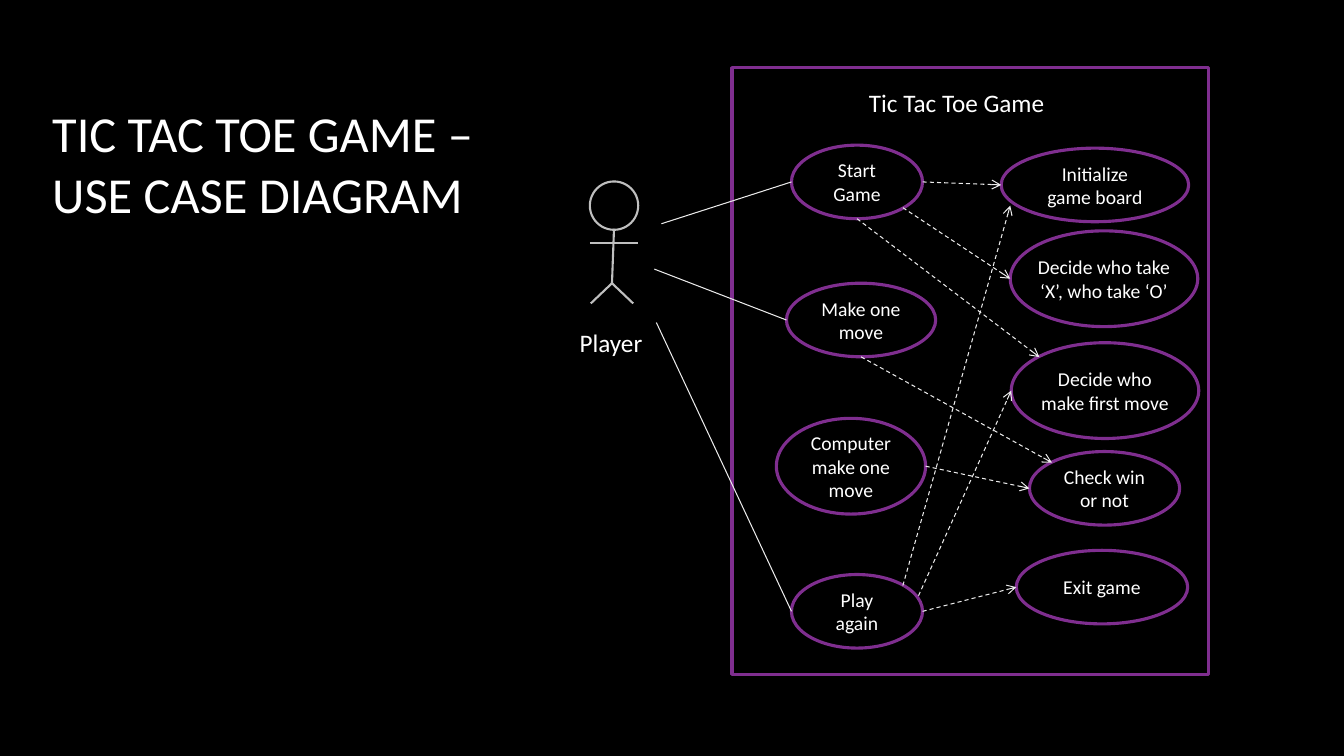
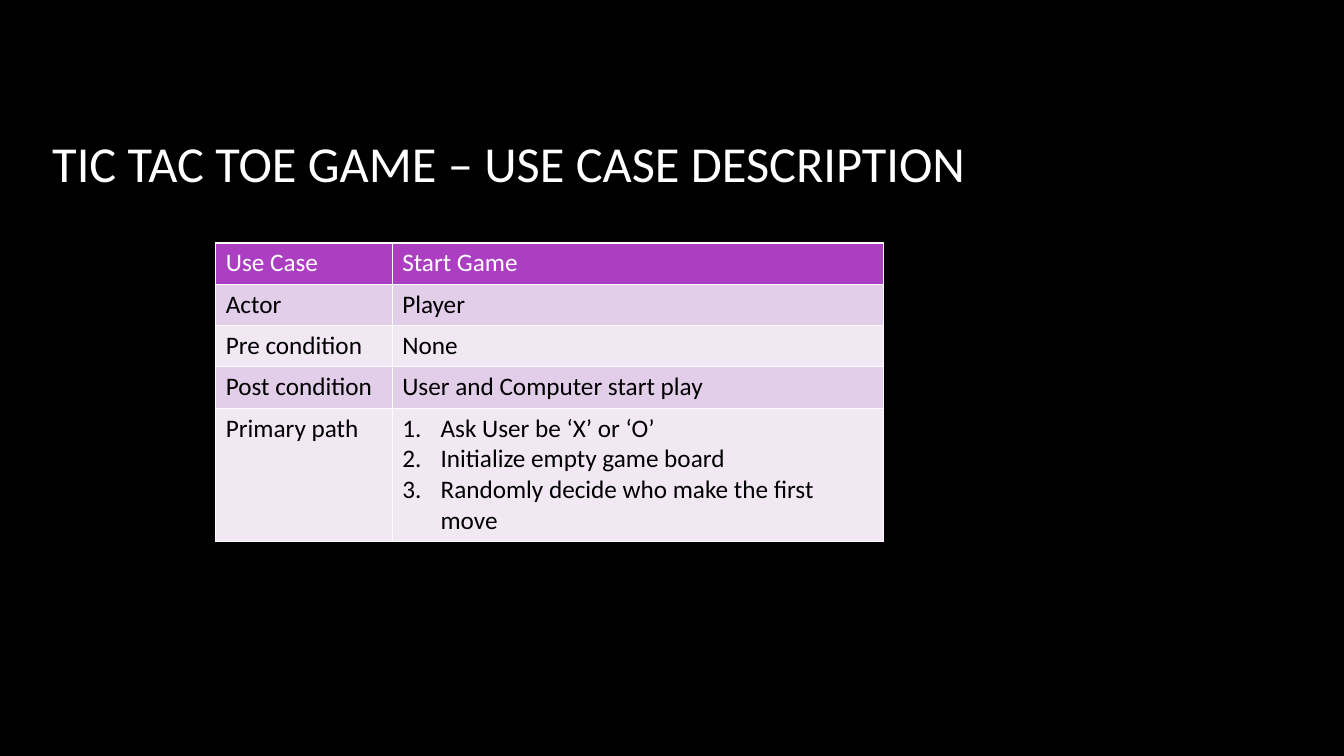
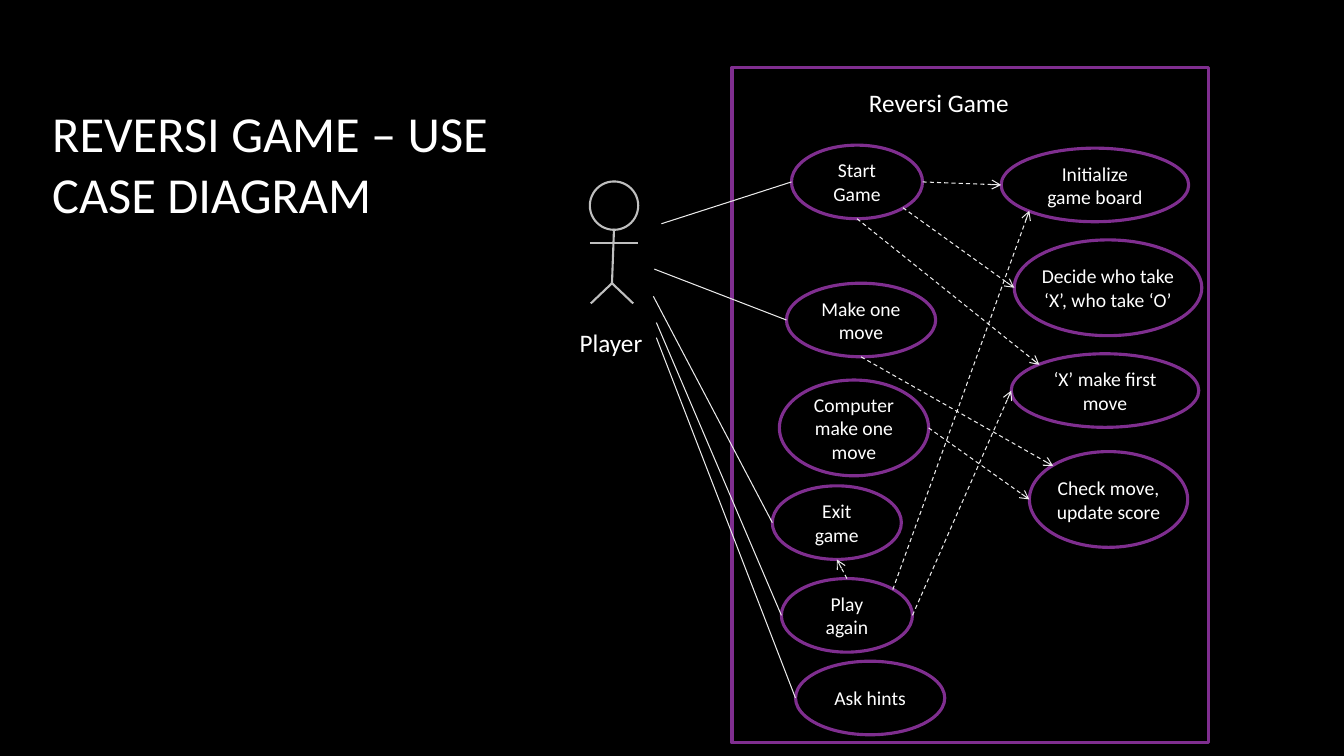
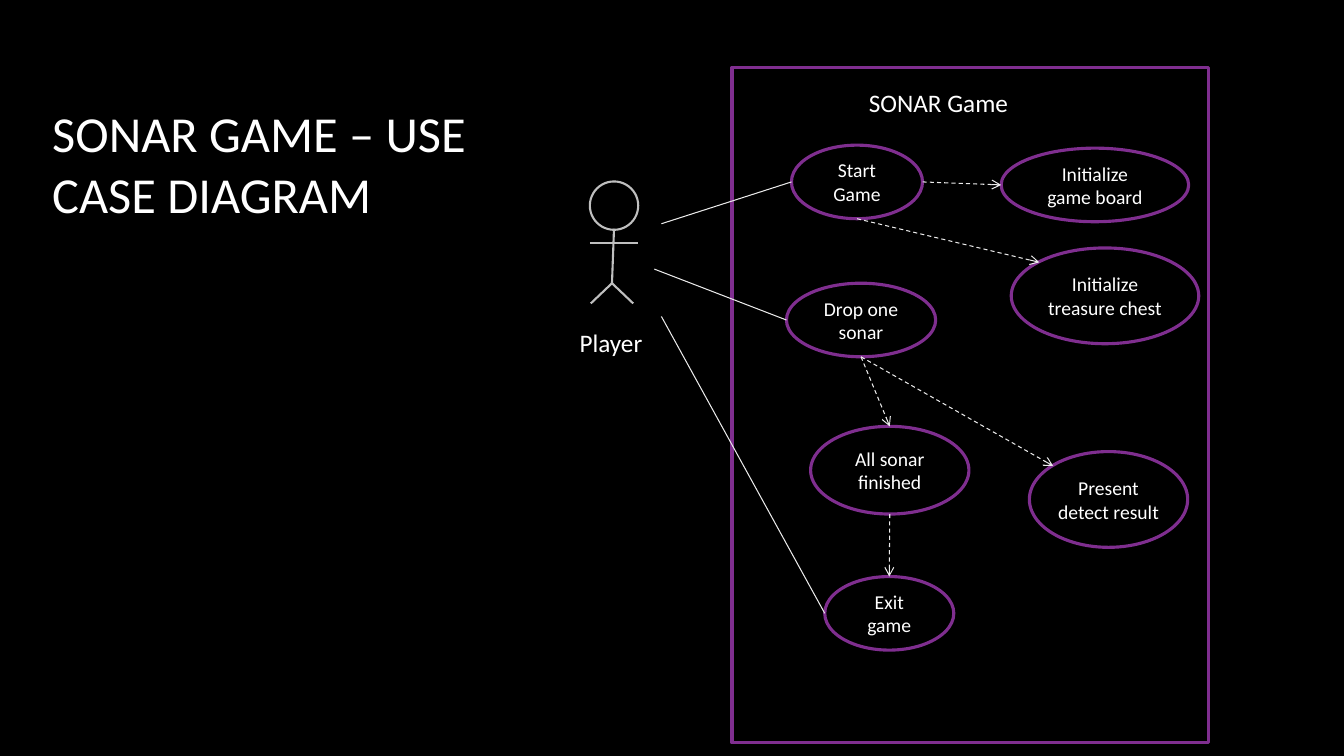
from dataclasses import dataclass

from lxml import etree
from pptx import Presentation
from pptx.dml.color import RGBColor
from pptx.enum import dml, shapes, text
from pptx.oxml.ns import qn
from pptx.util import Inches, Pt


@dataclass(frozen=True)
class Theme:
    font: str = "Calibri"
    background: str = "000000"
    light: str = "FFFFFF"
    dark: str = "000000"
    outline: str = "7F2E8F"
    link: str = "EBEBEB"
    figure: str = "BFBFBF"
    header: str = "AC3EC1"
    bands: tuple = ("E3CEE9", "F1E8F4")
    title_size: float = 36
    label_size: float = 18
    case_size: float = 14
    outline_width: float = 2.25
    figure_width: float = 1.5
    link_width: float = 0.75


THEME = Theme()
TITLE_TOP, TITLE_LEFT, TITLE_HEIGHT = 0.82, 0.42, 1.59
ACTOR_BOX = (5.65, 1.8)
SYSTEM_LEFT, SYSTEM_TOP, SYSTEM_WIDTH = 7.26, 0.67, 4.73
CASE_HEIGHT, TALL = 0.73, 0.95

# Where links meet an ellipse, as fractions of its width and height
NEAR, FAR = 0.15, 0.85
SITES = {
    "top": (0.5, 0), "bottom": (0.5, 1), "left": (0, 0.5), "right": (1, 0.5),
    "top_left": (NEAR, NEAR), "top_right": (FAR, NEAR),
    "bottom_left": (NEAR, FAR), "bottom_right": (FAR, FAR),
}

# Use cases: text, left, top, width and, if taller, height inside the system box
SHARED_CASES = {
    "start": ("Start Game", 0.59, 0.77, 1.3),
    "init": ("Initialize game board", 2.67, 0.8, 1.86),
}
MOVE_CASE = ("Make one move", 0.54, 2.14, 1.48)
# Player links: start point inside the actor box, use case
SHARED_PLAYER_LINKS = [((0.91, 0.42), "start"), ((0.84, 0.87), "move")]
# Dependencies: each end is "case.site" or a point inside the system box
SHARED_DEPENDENCIES = [("start.right", "init.left")]
BOARD_DEPENDENCIES = [
    ("start.bottom", "first.top_left"),
    ("start.bottom_right", "decide.left"),
    ("move.bottom", "check.top_left"),
    ("computer.right", "check.left"),
]

DIAGRAMS = {
    "tic_tac_toe": dict(
        title="TIC TAC TOE GAME – USE CASE DIAGRAM",
        name="Tic Tac Toe Game", name_width=1.96, height=6.02,
        cases={
            "move": MOVE_CASE,
            "first": ("Decide who make first move", 2.77, 2.73, 1.86, TALL),
            "check": ("Check win or not", 2.95, 3.81, 1.49),
            "again": ("Play again", 0.59, 5.03, 1.3),
            "decide": ("Decide who take ‘X’, who take ‘O’",
                       2.76, 1.62, 1.86, TALL),
            "exit": ("Exit game", 2.82, 4.79, 1.7),
            "computer": ("Computer make one move", 0.44, 3.48, 1.48, TALL),
        },
        player_links=[((0.86, 1.4), "again")],
        dependencies=BOARD_DEPENDENCIES + [
            ("again.right", "exit.left"),
            ("again.top_right", (2.76, 1.37)),
            ((1.85, 5.24), "first.left"),
        ],
    ),
    "reversi": dict(
        title="REVERSI GAME – USE CASE DIAGRAM",
        name="Reversi Game", name_width=1.6, height=6.7,
        cases={
            "move": MOVE_CASE,
            "first": ("‘X’ make first move", 2.77, 2.84, 1.86),
            "check": ("Check move, update score", 2.95, 3.81, 1.57, TALL),
            "again": ("Play again", 0.49, 5.07, 1.3),
            "decide": ("Decide who take ‘X’, who take ‘O’",
                       2.8, 1.71, 1.86, TALL),
            "exit": ("Exit game", 0.4, 4.15, 1.28),
            "computer": ("Computer make one move", 0.47, 3.1, 1.48, TALL),
            "hints": ("Ask hints", 0.63, 5.89, 1.48),
        },
        player_links=[((0.86, 1.4), "again"), ((0.83, 1.14), "exit"),
                      ((0.86, 1.55), "hints")],
        dependencies=BOARD_DEPENDENCIES + [
            ("again.top_right", "init.bottom_left"),
            ("again.right", "first.left"),
            ("again.top", "exit.bottom"),
        ],
    ),
    "sonar": dict(
        title="SONAR GAME – USE CASE DIAGRAM",
        name="SONAR Game", name_width=1.6, height=6.7,
        cases={
            "move": ("Drop one sonar",) + MOVE_CASE[1:],
            "chest": ("Initialize treasure chest", 2.77, 1.79, 1.86, TALL),
            "detect": ("Present detect result", 2.95, 3.81, 1.57, TALL),
            "finished": ("All sonar finished", 0.78, 3.56, 1.57, 0.87),
            "exit": ("Exit game", 0.92, 5.05, 1.28),
        },
        player_links=[((0.91, 1.34), "exit")],
        dependencies=[
            ("start.bottom", "chest.top_left"),
            ("move.bottom", "detect.top_left"),
            ("move.bottom", "finished.top"),
            ("finished.bottom", "exit.top"),
        ],
    ),
}

START_GAME_ROWS = [
    ("Use Case", ["Start Game"]),
    ("Actor", ["Player"]),
    ("Pre condition", ["None"]),
    ("Post condition", ["User and Computer start play"]),
    ("Primary path", ["Ask User be ‘X’ or ‘O’", "Initialize empty game board",
                      "Randomly decide who make the first move"]),
]


def assign(obj, **values):
    for name, value in values.items():
        setattr(obj, name, value)


def write(p, words, size, color=THEME.light):
    r = p.add_run()
    r.text = words
    assign(r.font, name=THEME.font, size=Pt(size), bold=False)
    r.font.color.rgb = RGBColor.from_string(color)


def stroke(line, color, width):
    line.color.rgb = RGBColor.from_string(color)
    line.width = Pt(width)


def add_text(parent, box, words, size, **frame):
    tf = parent.add_textbox(*map(Inches, box)).text_frame
    assign(tf, **frame)
    write(tf.paragraphs[0], words, size)


def add_label(parent, box, words):
    add_text(parent, box, words, THEME.label_size, word_wrap=False,
             auto_size=text.MSO_AUTO_SIZE.SHAPE_TO_FIT_TEXT)


def add_outline(parent, kind, box, color, width):
    sp = parent.add_shape(kind, *map(Inches, box))
    sp.shadow.inherit = False
    sp.fill.background()
    stroke(sp.line, color, width)
    return sp


def add_line(parent, start, end, color, width, dependency=False):
    """Draw a plain line, or a dashed open arrow for a dependency."""
    line = parent.add_connector(shapes.MSO_CONNECTOR.STRAIGHT,
                                *map(Inches, (*start, *end)))
    stroke(line.line, color, width)
    props = line.element.spPr
    if dependency:
        line.line.dash_style = dml.MSO_LINE.DASH
        etree.SubElement(props.find(qn("a:ln")), qn("a:tailEnd"), type="arrow")
    etree.SubElement(props, qn("a:effectLst"))


def add_title(slide, words, width):
    add_text(slide.shapes, (TITLE_LEFT, TITLE_TOP, width, TITLE_HEIGHT), words,
             THEME.title_size, word_wrap=True,
             vertical_anchor=text.MSO_ANCHOR.MIDDLE)


def add_actor(slide, left, top):
    """Draw the stick figure of the player with the label below it."""
    style = (THEME.figure, THEME.figure_width)
    figure = slide.shapes.add_group_shape().shapes
    add_outline(figure, shapes.MSO_SHAPE.OVAL,
                (left + 0.2, top, 0.48, 0.48), *style)
    neck, hip = (0.44, 0.47), (0.42, 1.01)
    limbs = [(neck, hip), ((0.2, 0.61), (0.68, 0.61)),
             (hip, (0.21, 1.21)), (hip, (0.63, 1.21))]
    for (x1, y1), (x2, y2) in limbs:
        add_line(figure, (left + x1, top + y1), (left + x2, top + y2), *style)
    add_label(slide.shapes, (left, top + 1.4, 0.83, 0.4), "Player")


def add_use_case(slide, box, words):
    sp = add_outline(slide.shapes, shapes.MSO_SHAPE.OVAL, box,
                     THEME.outline, THEME.outline_width)
    tf = sp.text_frame
    assign(tf, margin_top=0, margin_bottom=0)
    p = tf.paragraphs[0]
    p.alignment = text.PP_ALIGN.CENTER
    if box[3] == TALL:
        assign(tf, margin_left=0, margin_right=0)
    write(p, words, THEME.case_size)


def add_system(slide, box, name, name_width, cases):
    """Draw the system with its use cases; return the box of each case."""
    left, top = box[:2]
    add_outline(slide.shapes, shapes.MSO_SHAPE.FLOWCHART_PROCESS, box,
                THEME.outline, THEME.outline_width)
    add_label(slide.shapes, (left + 1.26, top + 0.15, name_width, 0.4), name)
    boxes = {}
    for key, (words, x, y, width, *height) in cases.items():
        boxes[key] = (left + x, top + y, width, *(height or [CASE_HEIGHT]))
        add_use_case(slide, boxes[key], words)
    return boxes


def locate(end, origin, boxes):
    """Turn a "case.site" name or a point inside a box into a slide point."""
    if isinstance(end, str):
        case, site = end.split(".")
        x, y, width, height = boxes[case]
        across, down = SITES[site]
        return x + width * across, y + height * down
    return origin[0] + end[0], origin[1] + end[1]


def diagram_slide(slide, title, name, name_width, height, cases,
                  player_links, dependencies):
    add_title(slide, title, 4.83)
    add_actor(slide, *ACTOR_BOX)
    system = (SYSTEM_LEFT, SYSTEM_TOP, SYSTEM_WIDTH, height)
    boxes = add_system(slide, system, name, name_width, SHARED_CASES | cases)
    style = (THEME.link, THEME.link_width)
    for start, case in SHARED_PLAYER_LINKS + player_links:
        add_line(slide.shapes, locate(start, ACTOR_BOX, boxes),
                 locate(f"{case}.left", system, boxes), *style)
    for ends in SHARED_DEPENDENCIES + dependencies:
        start, end = (locate(e, system, boxes) for e in ends)
        add_line(slide.shapes, start, end, *style, dependency=True)


def fill_cell(cell, lines, fill, color):
    """Write a cell, numbering its lines when there are several."""
    props = cell._tc.get_or_add_tcPr()
    for side in "LRTB":
        border = etree.SubElement(props, qn(f"a:ln{side}"), w=str(Pt(1)))
        solid = etree.SubElement(border, qn("a:solidFill"))
        etree.SubElement(solid, qn("a:srgbClr"), val=THEME.light)
    cell.fill.solid()
    cell.fill.fore_color.rgb = RGBColor.from_string(fill)
    tf = cell.text_frame
    for i, words in enumerate(lines):
        p = tf.add_paragraph() if i else tf.paragraphs[0]
        if len(lines) > 1:
            p_props = p._p.get_or_add_pPr()
            p_props.set("marL", str(Inches(0.38)))
            p_props.set("indent", str(-Inches(0.38)))
            etree.SubElement(p_props, qn("a:buAutoNum"), type="arabicPeriod")
        write(p, words, THEME.label_size, color)


def add_description(slide, box, rows):
    left, top, width, height = box
    first_width, row_height = 1.75, 0.41
    table = slide.shapes.add_table(len(rows), 2, *map(Inches, box)).table
    for column, size in zip(table.columns, (first_width, width - first_width)):
        column.width = Inches(size)
    for row in table.rows:
        row.height = Inches(row_height)
    table.rows[len(rows) - 1].height = Inches(height - row_height * (len(rows) - 1))
    for i, (heading, lines) in enumerate(rows):
        fill = THEME.bands[(i - 1) % 2] if i else THEME.header
        color = THEME.dark if i else THEME.light
        fill_cell(table.cell(i, 0), [heading], fill, color)
        fill_cell(table.cell(i, 1), lines, fill, color)


def description_slide(slide, title, rows):
    add_title(slide, title, 10.06)
    add_description(slide, (2.14, 2.41, 6.62, 2.96), rows)


def main():
    prs = Presentation()
    assign(prs, slide_width=Inches(13.33), slide_height=Inches(7.5))
    backdrop = prs.slide_master.background.fill
    backdrop.solid()
    backdrop.fore_color.rgb = RGBColor.from_string(THEME.background)

    def new_slide():
        return prs.slides.add_slide(prs.slide_layouts[6])

    diagram_slide(new_slide(), **DIAGRAMS["tic_tac_toe"])
    description_slide(new_slide(), "TIC TAC TOE GAME – USE CASE DESCRIPTION",
                      START_GAME_ROWS)
    diagram_slide(new_slide(), **DIAGRAMS["reversi"])
    diagram_slide(new_slide(), **DIAGRAMS["sonar"])
    prs.save("out.pptx")


if __name__ == "__main__":
    main()
